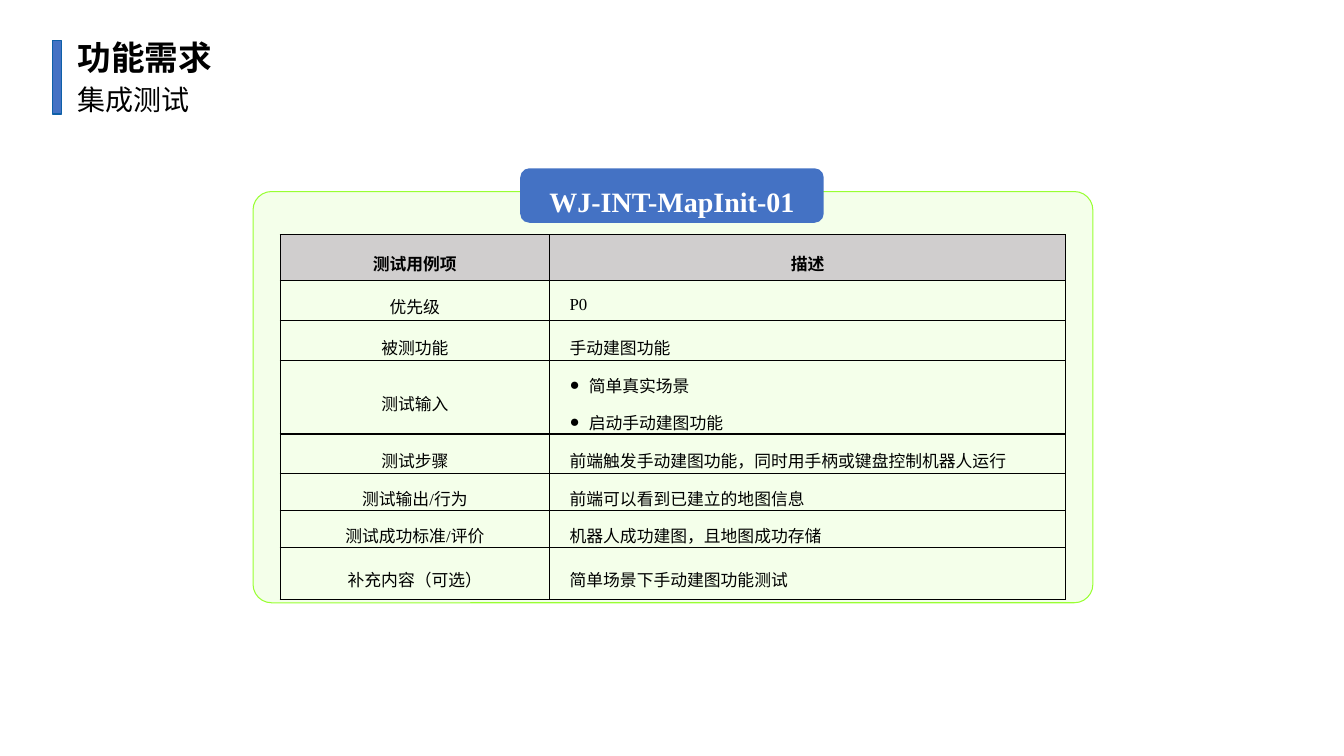
import pptx
import pptx.dml.color
import pptx.enum.shapes
import pptx.enum.text
import pptx.oxml
import pptx.oxml.ns
import pptx.util
from lxml import etree
from pptx.util import Inches

SERIF = "Times New Roman"
CHINESE = "Noto Sans CJK SC"
SHAPES = pptx.enum.shapes.MSO_SHAPE
CENTER = pptx.enum.text.PP_ALIGN.CENTER
LEFT = pptx.enum.text.PP_ALIGN.LEFT
MIDDLE = pptx.enum.text.MSO_ANCHOR.MIDDLE

COLUMN_WIDTHS = [2.67, 5.12]
ROW_HEIGHTS = [0.45, 0.4, 0.4, 0.67, 0.39, 0.37, 0.35, 0.43]
TEST_CASE = [
    ("测试用例项", ["描述"]),
    ("优先级", ["P0"]),
    ("被测功能", ["手动建图功能"]),
    ("测试输入", ["简单真实场景", "启动手动建图功能"]),
    ("测试步骤", ["前端触发手动建图功能，同时用手柄或键盘控制机器人运行"]),
    ("测试输出/行为", ["前端可以看到已建立的地图信息"]),
    ("测试成功标准/评价", ["机器人成功建图，且地图成功存储"]),
    ("补充内容（可选）", ["简单场景下手动建图功能测试"]),
]


def color(value):
    return pptx.dml.color.RGBColor.from_string(value)


def add_element(parent, tag, **attributes):
    element = etree.SubElement(parent, pptx.oxml.ns.qn(tag))
    for name, value in attributes.items():
        element.set(name, str(value))
    return element


def format_runs(paragraph, size, font=SERIF, text_color="000000", bold=False):
    for run in paragraph.runs:
        run.font.size = pptx.util.Pt(size)
        run.font.name = font
        run.font.bold = bold
        run.font.color.rgb = color(text_color)
        add_element(run._r.get_or_add_rPr(), "a:ea", typeface=CHINESE)


def set_margins(target, left, top, right, bottom):
    target.margin_left = Inches(left)
    target.margin_top = Inches(top)
    target.margin_right = Inches(right)
    target.margin_bottom = Inches(bottom)


def add_box(slide, kind, left, top, width, height, fill, line=None, line_width=1):
    shape = slide.shapes.add_shape(
        kind, Inches(left), Inches(top), Inches(width), Inches(height))
    shape.shadow.inherit = False
    shape.fill.solid()
    shape.fill.fore_color.rgb = color(fill)
    if line:
        shape.line.color.rgb = color(line)
        shape.line.width = pptx.util.Pt(line_width)
    else:
        shape.line.fill.background()
    return shape


def set_opacity(shape, percent):
    fill_color = shape._element.spPr.find(".//" + pptx.oxml.ns.qn("a:srgbClr"))
    add_element(fill_color, "a:alpha", val=percent * 1000)


def add_heading(slide, text, left, top, width, height, size, font, bold, wrap):
    box = slide.shapes.add_textbox(
        Inches(left), Inches(top), Inches(width), Inches(height))
    frame = box.text_frame
    frame.word_wrap = wrap
    frame.auto_size = pptx.enum.text.MSO_AUTO_SIZE.SHAPE_TO_FIT_TEXT
    frame.text = text
    format_runs(frame.paragraphs[0], size, font, bold=bold)


def add_bullet(paragraph):
    properties = paragraph._p.get_or_add_pPr()
    properties.set("marL", str(Inches(0.19)))
    properties.set("indent", str(-Inches(0.19)))
    add_element(properties, "a:buFont", typeface=SERIF)
    add_element(properties, "a:buChar", char="●")


def set_borders(cell):
    properties = cell._tc.get_or_add_tcPr()
    for side in ("a:lnL", "a:lnR", "a:lnT", "a:lnB"):
        line = add_element(properties, side, w=pptx.util.Pt(1))
        add_element(add_element(line, "a:solidFill"), "a:srgbClr", val="000000")


def fill_cell(cell, lines, is_header, is_label, vertical_margin):
    left, right = (0.07, 0.07) if is_label or is_header else (0.2, 0.08)
    set_margins(cell, left, vertical_margin, right, vertical_margin)
    cell.vertical_anchor = MIDDLE
    set_borders(cell)
    if is_header:
        cell.fill.solid()
        cell.fill.fore_color.rgb = color("D0CECE")
    else:
        cell.fill.background()
    cell.text_frame.text = "\n".join(lines)
    for paragraph in cell.text_frame.paragraphs:
        paragraph.alignment = CENTER if is_label or is_header else LEFT
        paragraph.line_spacing = 1.5
        if len(lines) > 1:
            add_bullet(paragraph)
        format_runs(paragraph, 12, bold=is_header)


def add_test_table(slide):
    table = slide.shapes.add_table(
        len(TEST_CASE), 2, Inches(2.78), Inches(2.33),
        Inches(sum(COLUMN_WIDTHS)), Inches(sum(ROW_HEIGHTS))).table
    table.horz_banding = False
    for column, width in zip(table.columns, COLUMN_WIDTHS):
        column.width = Inches(width)
    for index, (label, description) in enumerate(TEST_CASE):
        table.rows[index].height = Inches(ROW_HEIGHTS[index])
        is_header = index == 0
        margin = 0.08 if index == len(TEST_CASE) - 1 else 0
        fill_cell(table.cell(index, 0), [label], is_header, True, margin)
        fill_cell(table.cell(index, 1), description, is_header, False, margin)


def add_case_name(slide):
    tag = add_box(slide, SHAPES.ROUNDED_RECTANGLE, 5.16, 1.67, 3.01, 0.54, "4472C4")
    frame = tag.text_frame
    set_margins(frame, 0, 0, 0, 0)
    frame.vertical_anchor = MIDDLE
    frame.text = "WJ-INT-MapInit-01"
    paragraph = frame.paragraphs[0]
    paragraph.alignment = CENTER
    paragraph.line_spacing = pptx.util.Pt(32)
    format_runs(paragraph, 20, text_color="FFFFFF", bold=True)


def main():
    presentation = pptx.Presentation()
    presentation.slide_width = Inches(13.33)
    presentation.slide_height = Inches(7.5)
    slide = presentation.slides.add_slide(presentation.slide_layouts[6])

    # Test case card
    card = add_box(slide, SHAPES.ROUNDED_RECTANGLE, 2.51, 1.9, 8.33, 4.08,
                   "99FF33", "99FF33", 0.75)
    card.adjustments[0] = 0.045
    set_opacity(card, 10)
    add_case_name(slide)
    add_test_table(slide)

    # Slide heading
    bar = add_box(slide, SHAPES.RECTANGLE, 0.2, 0.72, 0.73, 0.09, "4472C4", "0E60A8")
    bar.rotation = 270
    add_heading(slide, "功能需求", 0.67, 0.32, 1.55, 0.5, 24, SERIF, True, False)
    add_heading(slide, "集成测试", 0.67, 0.77, 1.94, 0.44, 20, CHINESE, False, True)

    presentation.save("out.pptx")


if __name__ == "__main__":
    main()
